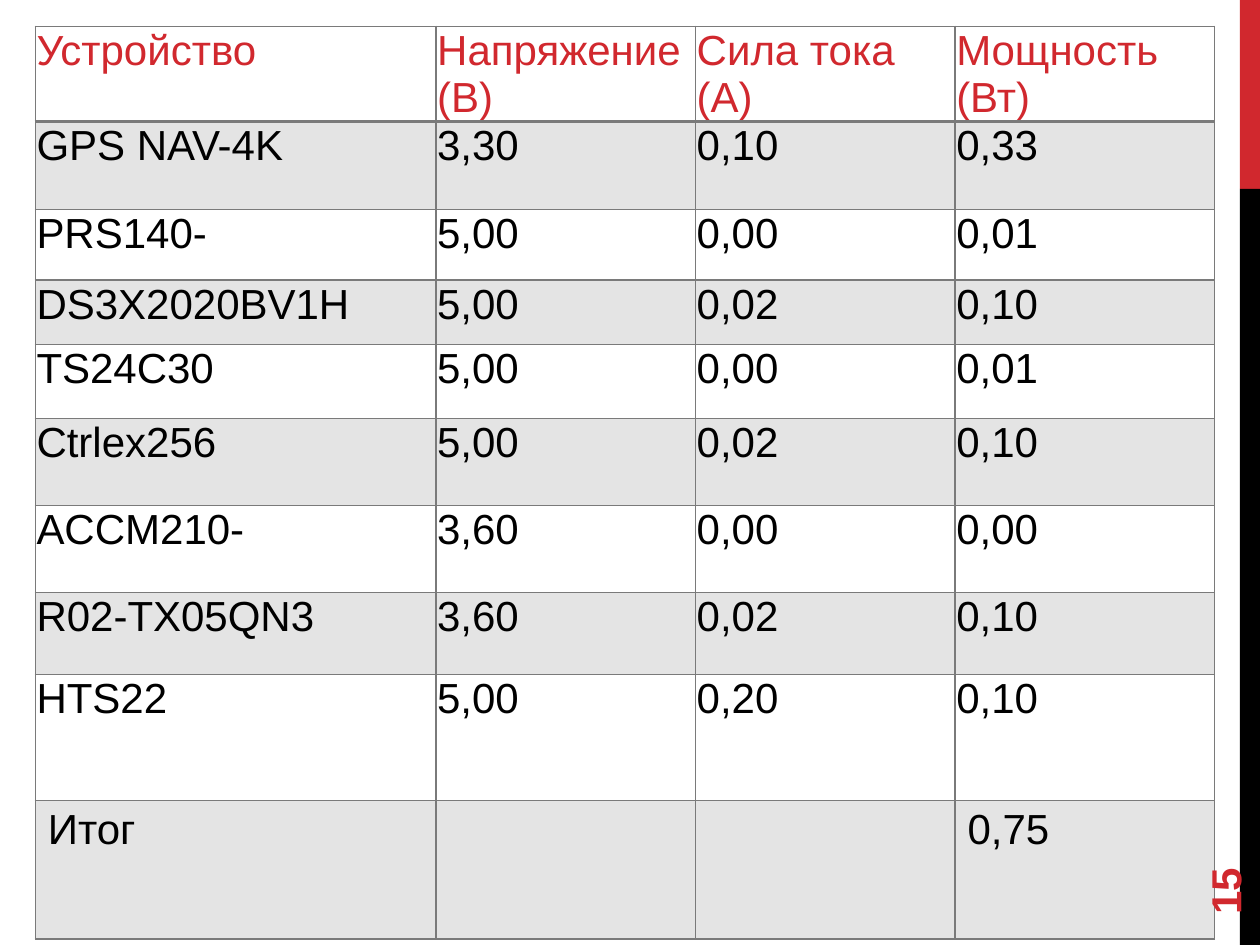
"""Build the slide with the power budget of the devices."""
from dataclasses import dataclass

from lxml.etree import SubElement
from pptx import Presentation
from pptx.dml.color import RGBColor
from pptx.enum.shapes import MSO_SHAPE as Shape
from pptx.enum.text import MSO_ANCHOR as Anchor
from pptx.oxml.ns import qn
from pptx.slide import Slide
from pptx.table import _Cell as Cell
from pptx.text.text import TextFrame
from pptx.util import Inches, Pt

COLORS = {"accent": "D1282E", "text": "000000", "grid": "7A7A7A"}
BAND_ALPHA = 20
COL_WIDTHS = [3.18, 2.06, 2.06, 2.06]


@dataclass(frozen=True)
class Bar:
    """Side bar on the right edge."""
    top: float
    height: float
    color: str


@dataclass(frozen=True)
class Row:
    """Table row with its height and cell texts."""
    height: float
    texts: tuple[str, ...]


BARS = [Bar(0, 1.5, "accent"), Bar(1.5, 6, "text")]
ROWS = [
    Row(0.5, ("Устройство", "Напряжение\n(В)", "Сила тока\n(А)", "Мощность\n(Вт)")),
    Row(0.7, ("GPS NAV-4K", "3,30", "0,10", "0,33")),
    Row(0.56, ("PRS140-", "5,00", "0,00", "0,01")),
    Row(0.51, ("DS3X2020BV1H", "5,00", "0,02", "0,10")),
    Row(0.59, ("TS24C30", "5,00", "0,00", "0,01")),
    Row(0.69, ("Ctrlex256", "5,00", "0,02", "0,10")),
    Row(0.69, ("ACCM210-", "3,60", "0,00", "0,00")),
    Row(0.65, ("R02-TX05QN3", "3,60", "0,02", "0,10")),
    Row(1, ("HTS22", "5,00", "0,20", "0,10")),
    Row(1.1, ("Итог", "", "", "0,75")),
]


def rgb(name: str) -> RGBColor:
    """Return the named colour."""
    return RGBColor.from_string(COLORS[name])


def write(tf: TextFrame, text: str, *, color: str = "text", size: float = 24,
          bold: bool = False, font: str = "Arial") -> None:
    """Write each line of the text as a formatted paragraph."""
    for i, line in enumerate(text.split("\n")):
        p = tf.add_paragraph() if i else tf.paragraphs[0]
        r = p.add_run()
        r.text = line
        r.font.name, r.font.size, r.font.bold = font, Pt(size), bold
        r.font.color.rgb = rgb(color)


def set_borders(cell: Cell, widths: dict[str, float]) -> None:
    """Give the cell solid grid lines of the given widths."""
    props = cell._tc.get_or_add_tcPr()
    for side, width in widths.items():
        ln = SubElement(props, qn(f"a:ln{side}"), w=str(Pt(width)))
        fill = SubElement(ln, qn("a:solidFill"))
        SubElement(fill, qn("a:srgbClr"), val=COLORS["grid"])


def set_band(cell: Cell, shaded: bool) -> None:
    """Fill the cell with a translucent band or leave it clear."""
    if not shaded:
        cell.fill.background()
        return
    cell.fill.solid()
    cell.fill.fore_color.rgb = rgb("grid")
    color = cell._tc.tcPr.find(qn("a:solidFill")).find(qn("a:srgbClr"))
    SubElement(color, qn("a:alpha"), val=str(BAND_ALPHA * 1000))


def add_bar(s: Slide, bar: Bar) -> None:
    """Draw a side bar."""
    sp = s.shapes.add_shape(Shape.RECTANGLE, Inches(9.84), Inches(bar.top),
                            Inches(0.16), Inches(bar.height))
    sp.shadow.inherit = False
    sp.fill.solid()
    sp.fill.fore_color.rgb = rgb(bar.color)
    sp.line.fill.background()


def add_power_table(s: Slide, rows: list[Row]) -> None:
    """Draw the table of devices and their power."""
    table = s.shapes.add_table(
        len(rows), len(COL_WIDTHS), Inches(0.28), Inches(0.21),
        Inches(sum(COL_WIDTHS)), Inches(sum(row.height for row in rows))).table
    table.horz_banding = False
    for col, width in zip(table.columns, COL_WIDTHS):
        col.width = Inches(width)
    last = len(rows) - 1
    for i, row in enumerate(rows):
        table.rows[i].height = Inches(row.height)
        for j, text in enumerate(row.texts):
            cell = table.cell(i, j)
            if i < last:
                cell.margin_left = cell.margin_right = cell.margin_top = Inches(0.01)
                cell.margin_bottom = 0
            set_borders(cell, {"L": 1, "R": 1, "T": 2 if i == 1 else 1,
                               "B": 2 if i == 0 else 1})
            set_band(cell, i % 2 == 1)
            if text:
                write(cell.text_frame, text, color="text" if i else "accent")


def add_page_number(s: Slide, text: str) -> None:
    """Write the page number upwards beside the bar."""
    sp = s.shapes.add_textbox(Inches(9), Inches(6.44), Inches(1.44), Inches(0.4))
    sp.rotation = 270
    tf = sp.text_frame
    tf.word_wrap = True
    tf.vertical_anchor = Anchor.MIDDLE
    write(tf, text, color="accent", bold=True)


def main() -> None:
    """Build and save the slide."""
    prs = Presentation()
    prs.slide_width, prs.slide_height = Inches(10), Inches(7.5)
    s = prs.slides.add_slide(prs.slide_layouts[6])
    for bar in BARS:
        add_bar(s, bar)
    add_power_table(s, ROWS)
    add_page_number(s, "15")
    prs.save("out.pptx")


if __name__ == "__main__":
    main()
